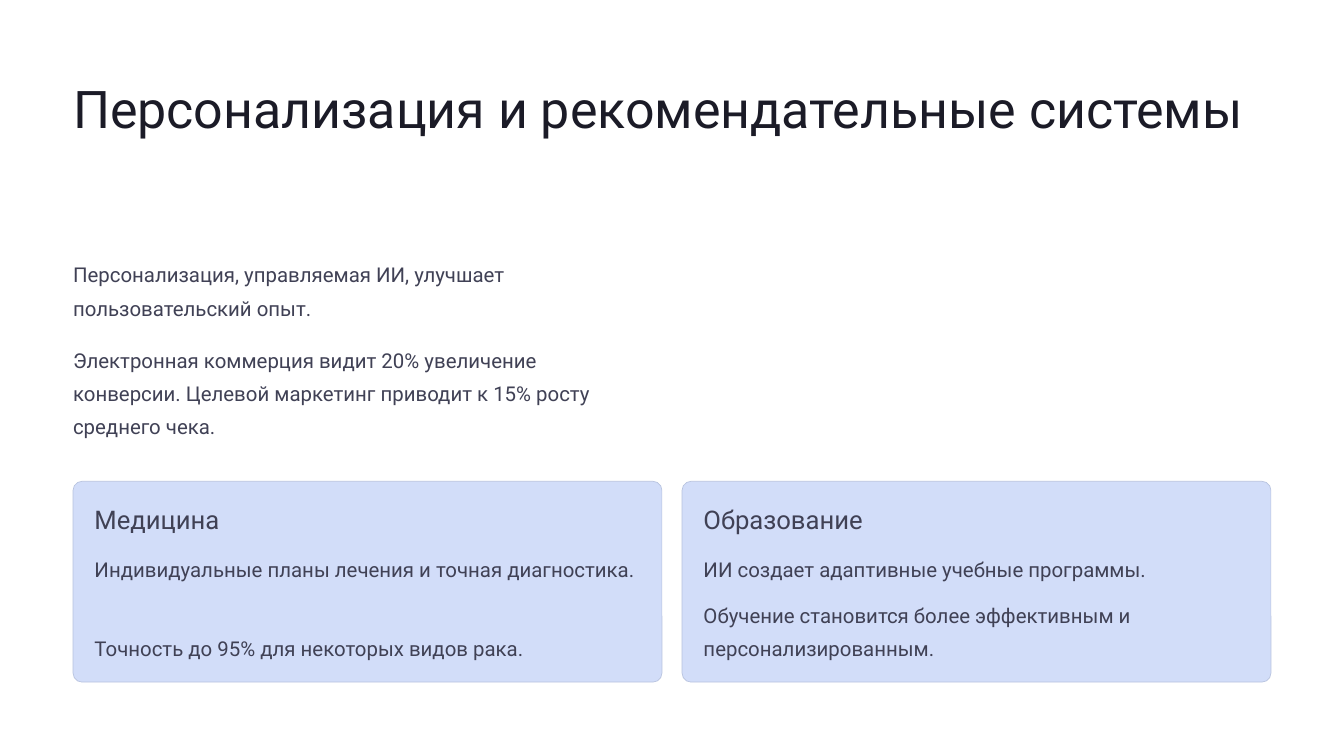
"""Build a slide on personalization and recommender systems."""
from pptx import Presentation
from pptx.dml.color import RGBColor
from pptx.enum import shapes, text
from pptx.util import Inches, Pt

TITLE = "Персонализация и рекомендательные системы"
INTRO = [
    ("Персонализация, управляемая ИИ, улучшает пользовательский опыт.", 2),
    ("Электронная коммерция видит 20% увеличение конверсии. "
     "Целевой маркетинг приводит к 15% росту среднего чека.", 3),
]
CARDS = [
    ("Медицина", [
        ("Индивидуальные планы лечения и точная диагностика.", 2),
        ("Точность до 95% для некоторых видов рака.", 1),
    ]),
    ("Образование", [
        ("ИИ создает адаптивные учебные программы.", 1),
        ("Обучение становится более эффективным и персонализированным.", 2),
    ]),
]

THEME = {
    "font": "Roboto",
    "card": "D2DDF9",
    "border": "B8C3DF",
    "title": {"size": 44.5, "leading": 55.5, "color": "1B1B27"},
    "heading": {"size": 22, "leading": 27.5, "color": "404155"},
    "body": {"size": 17.5, "leading": 28.5, "color": "404155"},
}

MARGIN, CONTENT_WIDTH, INTRO_WIDTH = 0.87, 14.26, 6.83
CARD_TOP, CARD_WIDTH, CARD_HEIGHT, CARD_GAP = 5.73, 7.01, 2.39, 0.24
PADDING, LINE_HEIGHT = 0.255, 0.4


def add_copy(slide, wording, style, left, top, width, height):
    look = THEME[style]
    frame = slide.shapes.add_textbox(*map(Inches, (left, top, width, height))).text_frame
    layout = {"word_wrap": True, "vertical_anchor": text.MSO_ANCHOR.TOP, "margin_left": 0,
              "margin_right": 0, "margin_top": 0, "margin_bottom": 0}
    for name, value in layout.items():
        setattr(frame, name, value)
    paragraph = frame.paragraphs[0]
    paragraph.line_spacing = Pt(look["leading"])
    run = paragraph.add_run()
    run.text = wording
    for name, value in {"name": THEME["font"], "size": Pt(look["size"])}.items():
        setattr(run.font, name, value)
    run.font.color.rgb = RGBColor.from_string(look["color"])


def add_body(slide, passages, left, top, width, gap):
    for wording, lines in passages:
        add_copy(slide, wording, "body", left, top, width, lines * LINE_HEIGHT)
        top += lines * LINE_HEIGHT + gap


def add_card(slide, heading, passages, left):
    panel = slide.shapes.add_shape(
        shapes.MSO_SHAPE.ROUNDED_RECTANGLE,
        *map(Inches, (left, CARD_TOP, CARD_WIDTH, CARD_HEIGHT)))
    panel.adjustments[0] = 0.044
    panel.shadow.inherit = False
    panel.fill.solid()
    panel.fill.fore_color.rgb = RGBColor.from_string(THEME["card"])
    panel.line.color.rgb = RGBColor.from_string(THEME["border"])
    panel.line.width = Pt(0.6)
    inner_left, inner_width = left + PADDING, CARD_WIDTH - 2 * PADDING
    add_copy(slide, heading, "heading", inner_left, CARD_TOP + PADDING, inner_width, 0.39)
    add_body(slide, passages, inner_left, CARD_TOP + 0.8, inner_width, 0.14)


def main():
    deck = Presentation()
    deck.slide_width, deck.slide_height = Inches(16), Inches(9)
    slide = deck.slides.add_slide(deck.slide_layouts[6])
    add_copy(slide, TITLE, "title", MARGIN, 0.88, CONTENT_WIDTH, 1.55)
    add_body(slide, INTRO, MARGIN, 3.02, INTRO_WIDTH, 0.22)
    for column, (heading, passages) in enumerate(CARDS):
        add_card(slide, heading, passages, MARGIN + column * (CARD_WIDTH + CARD_GAP))
    deck.save("out.pptx")


if __name__ == "__main__":
    main()
